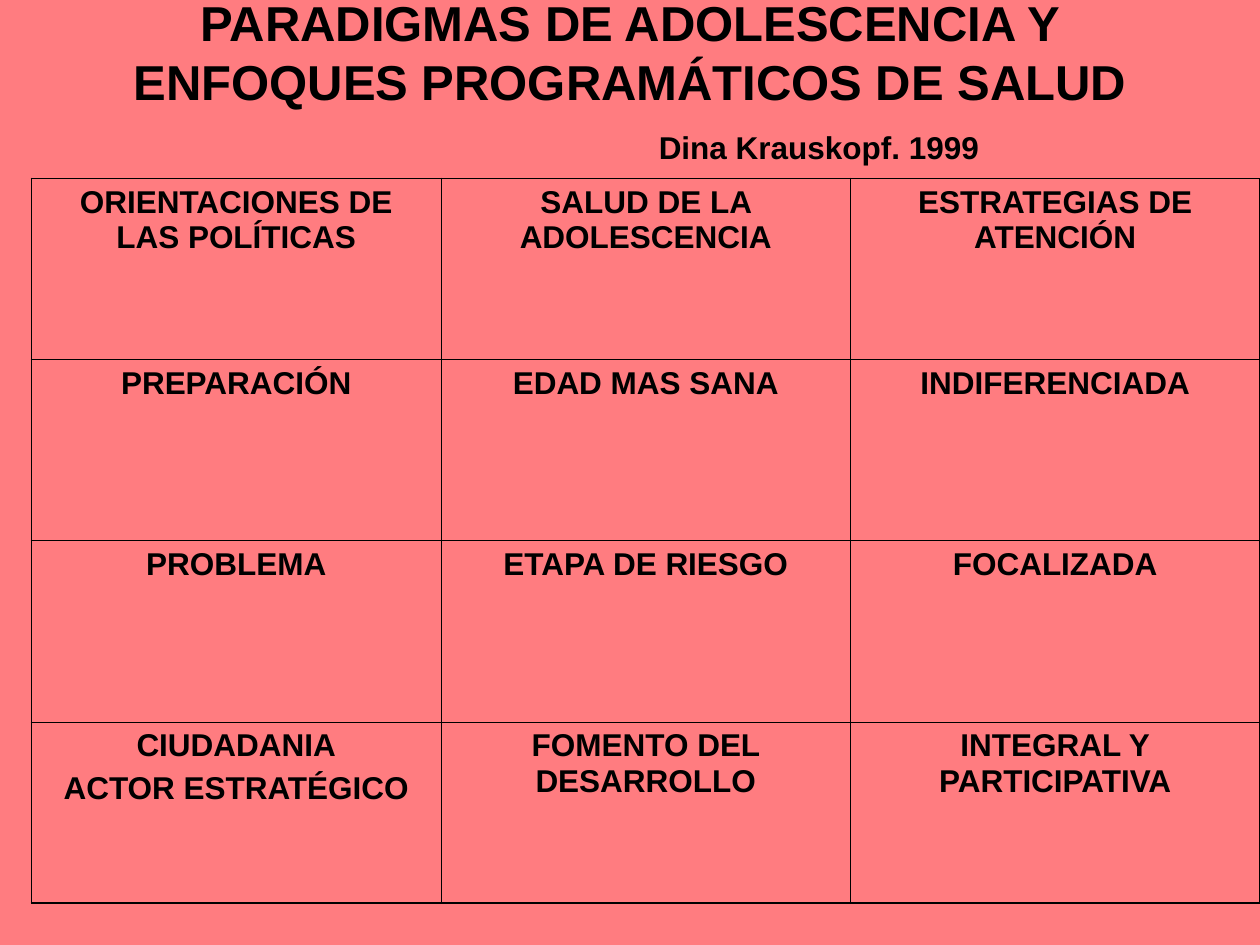
from dataclasses import dataclass

from lxml.etree import SubElement
from pptx import Presentation
from pptx.dml.color import RGBColor
from pptx.enum.text import MSO_ANCHOR, PP_ALIGN
from pptx.oxml.ns import qn
from pptx.util import Inches, Pt


@dataclass(frozen=True)
class Theme:
    background: str = "FF7C80"
    ink: str = "000000"
    font: str = "Arial"
    title_size: float = 28
    body_size: float = 18
    title_leading: float = 33.7
    author_leading: float = 31.6
    cell_spacing: float = 4.5
    outer_border: float = 1.08
    inner_border: float = 0.45


class SlideBuilder:
    COLUMNS, ROWS = 40, 30

    def __init__(self, presentation, theme):
        self.theme = theme
        self.column = presentation.slide_width / self.COLUMNS
        self.row = presentation.slide_height / self.ROWS
        self.slide = presentation.slides.add_slide(presentation.slide_layouts[6])
        fill = self.slide.background.fill
        fill.solid()
        fill.fore_color.rgb = RGBColor.from_string(theme.background)

    def place(self, left, top, width, height):
        return (round(left * self.column), round(top * self.row),
                round(width * self.column), round(height * self.row))

    def add_text(self, paragraph, text, size):
        paragraph.alignment = PP_ALIGN.CENTER
        for index, line in enumerate(text.split("\n")):
            if index:
                paragraph.add_line_break()
            run = paragraph.add_run()
            run.text = line
            run.font.name = self.theme.font
            run.font.size = Pt(size)
            run.font.bold = True
            run.font.color.rgb = RGBColor.from_string(self.theme.ink)

    def heading(self, area, title, author, author_indent):
        frame = self.slide.shapes.add_textbox(*self.place(*area)).text_frame
        frame.word_wrap = True
        frame.vertical_anchor = MSO_ANCHOR.MIDDLE
        title_paragraph = frame.paragraphs[0]
        title_paragraph.line_spacing = Pt(self.theme.title_leading)
        self.add_text(title_paragraph, title, self.theme.title_size)
        author_paragraph = frame.add_paragraph()
        author_paragraph.line_spacing = Pt(self.theme.author_leading)
        self.add_text(author_paragraph, author, self.theme.body_size)
        properties = author_paragraph._p.get_or_add_pPr()
        properties.set("marL", str(round(author_indent * self.column)))
        properties.set("indent", "0")

    def table(self, area, content):
        row_count, column_count = len(content), len(content[0])
        frame = self.slide.shapes.add_table(row_count, column_count, *self.place(*area))
        table = frame.table
        table.first_row = table.horz_banding = False
        for row_index, entries in enumerate(content):
            for column_index, paragraphs in enumerate(entries):
                cell = table.cell(row_index, column_index)
                self.fill_cell(cell, paragraphs)
                self.border_cell(cell, {
                    "a:lnL": column_index == 0,
                    "a:lnR": column_index == column_count - 1,
                    "a:lnT": row_index == 0,
                    "a:lnB": row_index == row_count - 1,
                })
                cell.fill.background()

    def fill_cell(self, cell, paragraphs):
        frame = cell.text_frame
        for index, text in enumerate(paragraphs):
            paragraph = frame.add_paragraph() if index else frame.paragraphs[0]
            paragraph.space_before = Pt(self.theme.cell_spacing)
            self.add_text(paragraph, text, self.theme.body_size)

    def border_cell(self, cell, outer_sides):
        properties = cell._tc.get_or_add_tcPr()
        for side, is_outer in outer_sides.items():
            width = self.theme.outer_border if is_outer else self.theme.inner_border
            line = SubElement(properties, qn(side), w=str(Pt(width)))
            fill = SubElement(line, qn("a:solidFill"))
            SubElement(fill, qn("a:srgbClr"), val=self.theme.ink)


PARADIGMS = [
    [["ORIENTACIONES DE LAS POLÍTICAS"], ["SALUD DE LA ADOLESCENCIA"],
     ["ESTRATEGIAS DE ATENCIÓN"]],
    [["PREPARACIÓN"], ["EDAD MAS SANA"], ["INDIFERENCIADA"]],
    [["PROBLEMA"], ["ETAPA DE RIESGO"], ["FOCALIZADA"]],
    [["CIUDADANIA", "ACTOR ESTRATÉGICO"], ["FOMENTO DEL DESARROLLO"],
     ["INTEGRAL Y\nPARTICIPATIVA"]],
]


def main():
    presentation = Presentation()
    presentation.slide_width = Inches(10)
    presentation.slide_height = Inches(7.5)
    builder = SlideBuilder(presentation, Theme())
    builder.heading(
        (3, 0, 34, 5),
        "PARADIGMAS DE ADOLESCENCIA Y ENFOQUES PROGRAMÁTICOS DE SALUD",
        "Dina Krauskopf. 1999",
        author_indent=12,
    )
    builder.table((1, 5.67, 39, 23), PARADIGMS)
    presentation.save("out.pptx")


if __name__ == "__main__":
    main()
